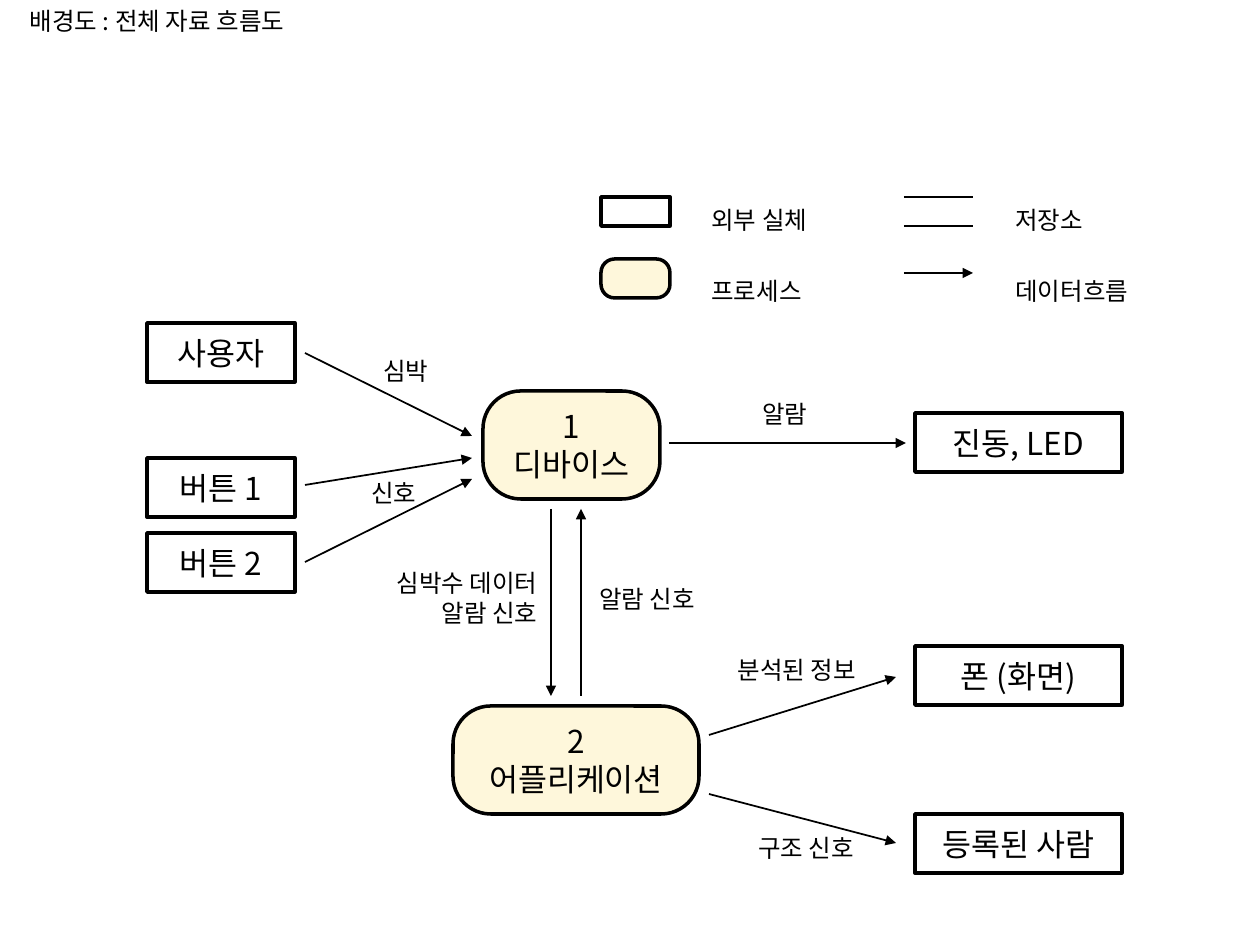
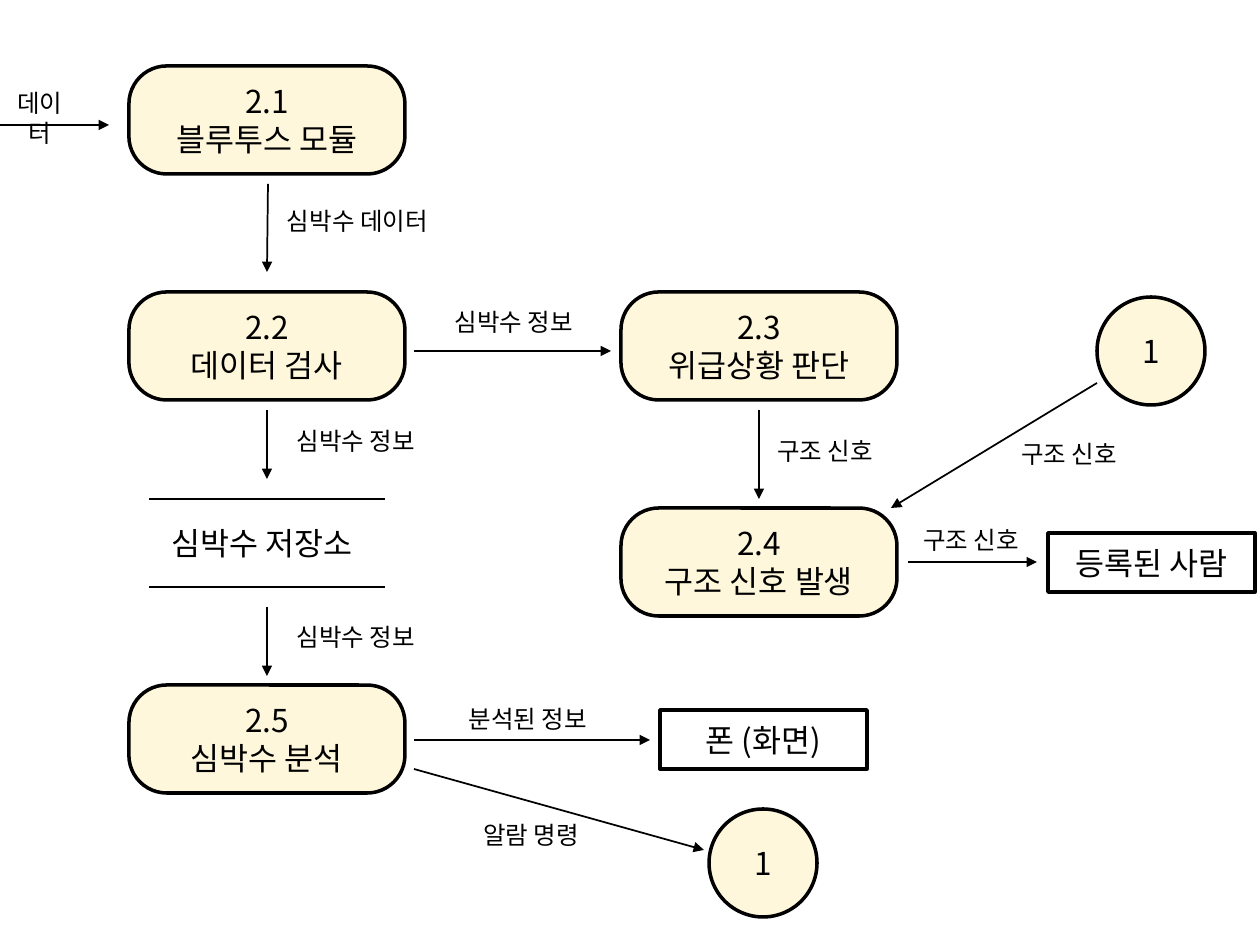
from dataclasses import dataclass
from typing import Optional

from lxml import etree
from pptx import Presentation
from pptx import util as u
from pptx.dml.color import RGBColor
from pptx.enum import shapes, text
from pptx.oxml import ns

SCALE = u.Inches(1) / 126
FONT = "Noto Sans CJK KR"
INK = "000000"
CREAM = "FEF7DB"
NODE_SIZE, LABEL_SIZE = 18, 14
PROCESS_H = 108
ENTITY_H = 59
ENTITY_W, WIDE_ENTITY_W = 148, 207
RECT = shapes.MSO_SHAPE.RECTANGLE
ROUND = shapes.MSO_SHAPE.ROUNDED_RECTANGLE
CIRCLE = shapes.MSO_SHAPE.OVAL
LEFT, CENTER, RIGHT = text.PP_ALIGN.LEFT, text.PP_ALIGN.CENTER, text.PP_ALIGN.RIGHT


@dataclass
class Node:
    left: int
    top: int
    width: int
    height: int
    lines: tuple = ()
    kind: int = RECT
    fill: Optional[str] = None


@dataclass
class Flow:
    x1: int
    y1: int
    x2: int
    y2: int
    arrow: bool = True


@dataclass
class Label:
    left: int
    top: int
    width: int
    lines: tuple
    height: int = 43
    align: int = CENTER
    size: int = LABEL_SIZE
    spacing: Optional[float] = None


def px(value: int) -> u.Emu:
    return u.Emu(round(value * SCALE))


def color(code: str) -> RGBColor:
    return RGBColor.from_string(code)


def entity(left: int, top: int, name: str, width: int = WIDE_ENTITY_W) -> Node:
    return Node(left, top, width, ENTITY_H, (name,))


def process(left: int, top: int, number: str, name: str, width: int = 276) -> Node:
    return Node(left, top, width, PROCESS_H, (number, name), ROUND, CREAM)


def reference(left: int, top: int, number: str) -> Node:
    return Node(left, top, PROCESS_H, PROCESS_H, (number,), CIRCLE, CREAM)


def write_lines(frame, lines: tuple, size: int, align: int, spacing: Optional[float] = None) -> None:
    for index, line in enumerate(lines):
        paragraph = frame.add_paragraph() if index else frame.paragraphs[0]
        paragraph.alignment = align
        if spacing:
            paragraph.line_spacing = spacing
        run = paragraph.add_run()
        run.text = line
        run.font.size = u.Pt(size)
        run.font.name = FONT
        run.font.color.rgb = color(INK)
        east_asian = etree.SubElement(run.font._element, ns.qn("a:ea"))
        east_asian.set("typeface", FONT)


def draw_node(slide, node: Node) -> None:
    box = slide.shapes.add_shape(
        node.kind, px(node.left), px(node.top), px(node.width), px(node.height))
    box.shadow.inherit = False
    if node.fill:
        box.fill.solid()
        box.fill.fore_color.rgb = color(node.fill)
    else:
        box.fill.background()
    box.line.color.rgb = color(INK)
    box.line.width = u.Pt(2)
    if node.kind == ROUND:
        box.adjustments[0] = 0.35
    box.text_frame.vertical_anchor = text.MSO_ANCHOR.MIDDLE
    write_lines(box.text_frame, node.lines, NODE_SIZE, CENTER)


def draw_flow(slide, flow: Flow) -> None:
    line = slide.shapes.add_connector(
        shapes.MSO_CONNECTOR.STRAIGHT, px(flow.x1), px(flow.y1), px(flow.x2), px(flow.y2))
    line.line.color.rgb = color(INK)
    line.line.width = u.Pt(1)
    if flow.arrow:
        tail = etree.SubElement(line.line._get_or_add_ln(), ns.qn("a:tailEnd"))
        tail.set("type", "triangle")
    etree.SubElement(line._element.spPr, ns.qn("a:effectLst"))


def draw_label(slide, label: Label) -> None:
    box = slide.shapes.add_textbox(
        px(label.left), px(label.top), px(label.width), px(label.height))
    box.text_frame.word_wrap = False
    box.text_frame.auto_size = text.MSO_AUTO_SIZE.SHAPE_TO_FIT_TEXT
    write_lines(box.text_frame, label.lines, label.size, label.align, label.spacing)


def draw_diagram(deck, nodes: list, flows: list, labels: list) -> None:
    slide = deck.slides.add_slide(deck.slide_layouts[6])
    for node in nodes:
        draw_node(slide, node)
    for flow in flows:
        draw_flow(slide, flow)
    for label in labels:
        draw_label(slide, label)


def legend(left: int, width: int, *lines: str) -> Label:
    return Label(left, 158, width, lines, 155, LEFT, spacing=2.4)


def store(left: int, right: int, top: int, bottom: int) -> list:
    return [Flow(left, y, right, y, arrow=False) for y in (top, bottom)]


overview_nodes = [
    entity(147, 323, "사용자", ENTITY_W),
    entity(147, 458, "버튼 1", ENTITY_W),
    entity(147, 533, "버튼 2", ENTITY_W),
    entity(915, 413, "진동, LED"),
    entity(915, 646, "폰 (화면)"),
    entity(915, 814, "등록된 사람"),
    process(483, 391, "1", "디바이스", 177),
    process(453, 706, "2", "어플리케이션", 246),
    Node(601, 197, 69, 29),
    Node(601, 259, 69, 39, kind=ROUND, fill=CREAM),
]
overview_flows = [
    Flow(305, 353, 472, 436),
    Flow(305, 485, 472, 458),
    Flow(305, 562, 472, 479),
    Flow(669, 443, 906, 443),
    Flow(551, 509, 551, 696),
    Flow(581, 696, 581, 509),
    Flow(709, 735, 896, 677),
    Flow(709, 794, 896, 843),
    Flow(904, 273, 973, 273),
    *store(904, 973, 197, 226),
]
overview_labels = [
    Label(0, 0, 314, ("배경도 : 전체 자료 흐름도",)),
    Label(369, 350, 74, ("심박",)),
    Label(357, 472, 74, ("신호",)),
    Label(748, 393, 74, ("알람",)),
    Label(369, 562, 181, ("심박수 데이터", "알람 신호"), 72, RIGHT),
    Label(581, 578, 132, ("알람 신호",)),
    Label(718, 649, 158, ("분석된 정보",)),
    Label(740, 827, 132, ("구조 신호",)),
    legend(699, 132, "외부 실체", "프로세스"),
    legend(1003, 149, "저장소", "데이터흐름"),
]

application_nodes = [
    process(129, 66, "2.1", "블루투스 모듈"),
    process(129, 292, "2.2", "데이터 검사"),
    process(621, 292, "2.3", "위급상황 판단"),
    process(621, 508, "2.4", "구조 신호 발생"),
    process(129, 685, "2.5", "심박수 분석"),
    entity(1048, 533, "등록된 사람"),
    entity(660, 710, "폰 (화면)"),
    reference(1097, 297, "1"),
    reference(709, 809, "1"),
]
application_flows = [
    Flow(0, 125, 109, 125),
    Flow(268, 184, 267, 272),
    Flow(267, 410, 267, 479),
    Flow(267, 607, 267, 676),
    Flow(414, 351, 611, 351),
    Flow(759, 410, 759, 499),
    Flow(1097, 383, 891, 508),
    Flow(908, 562, 1037, 562),
    Flow(414, 740, 650, 740),
    Flow(414, 769, 704, 850),
    *store(149, 385, 499, 587),
]
application_labels = [
    Label(0, 82, 80, ("데이터",)),
    Label(267, 200, 181, ("심박수 데이터",)),
    Label(435, 301, 158, ("심박수 정보",)),
    Label(277, 420, 158, ("심박수 정보",)),
    Label(277, 616, 158, ("심박수 정보",)),
    Label(449, 698, 158, ("분석된 정보",)),
    Label(759, 430, 132, ("구조 신호",)),
    Label(1003, 433, 132, ("구조 신호",)),
    Label(905, 519, 132, ("구조 신호",)),
    Label(465, 814, 132, ("알람 명령",)),
    Label(159, 518, 227, ("심박수 저장소",), 50, LEFT, NODE_SIZE),
]

deck = Presentation()
deck.slide_width, deck.slide_height = px(1260), px(945)
draw_diagram(deck, overview_nodes, overview_flows, overview_labels)
draw_diagram(deck, application_nodes, application_flows, application_labels)
deck.save("out.pptx")
